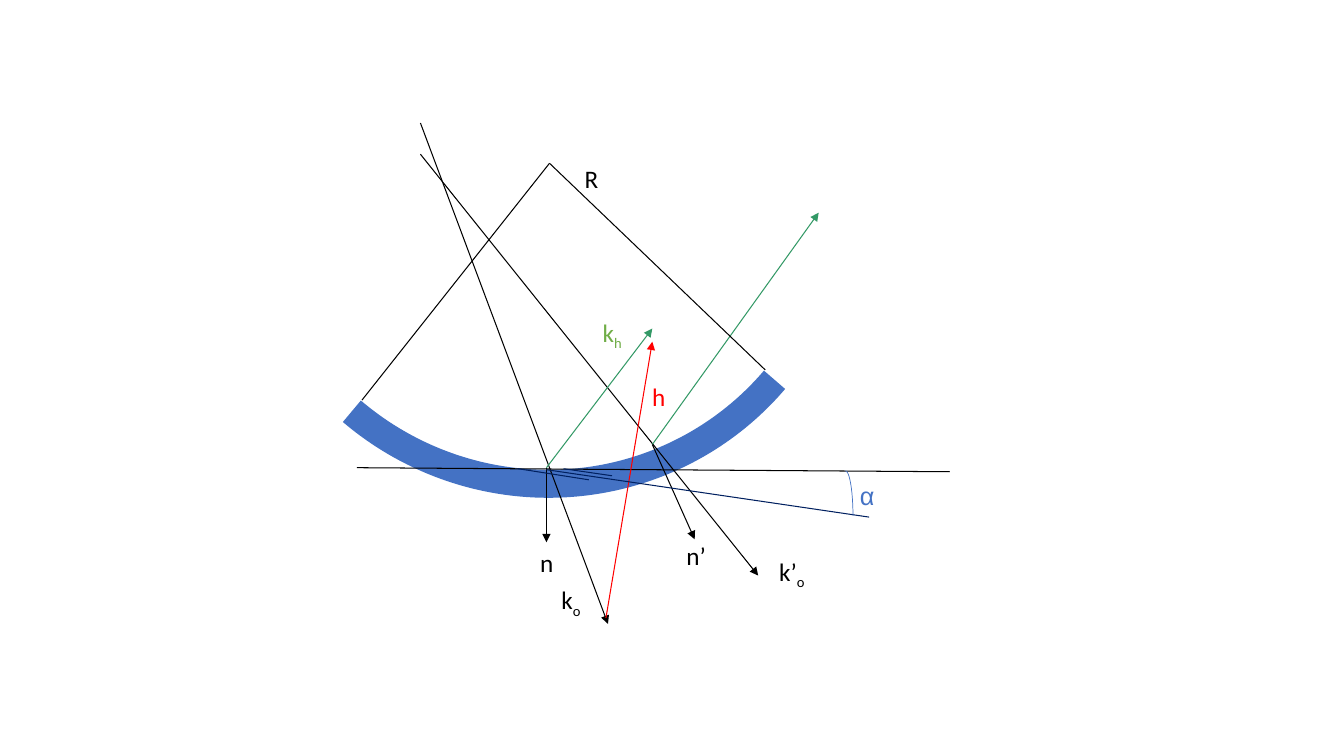
from dataclasses import dataclass

from lxml import etree
from pptx import Presentation
from pptx.dml.color import RGBColor
from pptx.enum.shapes import MSO_CONNECTOR, MSO_SHAPE
from pptx.enum.text import MSO_AUTO_SIZE
from pptx.oxml.ns import qn
from pptx.util import Inches, Pt

STRAIGHT = MSO_CONNECTOR.STRAIGHT
ARC = MSO_SHAPE.ARC
FIT_SHAPE = MSO_AUTO_SIZE.SHAPE_TO_FIT_TEXT
BLANK_LAYOUT = 6


@dataclass(frozen=True)
class Theme:
    black: str = "000000"
    blue: str = "4472C4"
    navy: str = "002060"
    teal: str = "339966"
    green: str = "70AD47"
    red: str = "FF0000"
    font: str = "Calibri"
    greek_font: str = "Arial"
    label_size: float = 18
    thin: float = 0.75
    subscript: str = "-25000"


THEME = Theme()
Point = tuple[float, float]


@dataclass(frozen=True)
class Ray:
    start: Point
    end: Point
    color: str = THEME.black
    arrow: bool = False


@dataclass(frozen=True)
class Label:
    left: float
    top: float
    width: float
    text: str
    sub: str = ""
    color: str = THEME.black
    font: str = THEME.font


@dataclass(frozen=True)
class Arc:
    left: float
    top: float
    width: float
    height: float
    weight: float
    rotation: float = 0


LABEL_HEIGHT = 0.4
CENTRE = (5.45, 1.62)
SURFACE = (5.42, 4.64)
SECOND_HIT = (6.47, 4.41)

CRYSTAL = Arc(2.45, -1.16, 5.91, 5.98, weight=20, rotation=130.4)
ANGLE = Arc(8.31, 4.67, 0.15, 0.89, weight=0.5)

RAYS = [
    Ray((3.54, 4.64), (9.42, 4.68)),
    Ray((4.17, 1.22), (6.03, 6.19), arrow=True),
    Ray((4.17, 1.53), (7.52, 5.71), arrow=True),
    Ray(SURFACE, (6.47, 3.26), THEME.teal, arrow=True),
    Ray(SECOND_HIT, (8.12, 2.11), THEME.teal, arrow=True),
    Ray(SURFACE, (5.42, 5.38), arrow=True),
    Ray((6.01, 6.13), (6.47, 3.39), THEME.red, arrow=True),
    Ray(SECOND_HIT, (6.89, 5.35), arrow=True),
    Ray(CENTRE, (3.59, 3.97)),
    Ray(CENTRE, (7.59, 3.67)),
    Ray((5.42, 4.66), (8.62, 5.13), THEME.navy),
    Ray((5.14, 4.65), (5.84, 4.76), THEME.navy),
    Ray((5.59, 4.65), (6.07, 4.72), THEME.navy),
]

LABELS = [
    Label(5.26, 5.38, 0.34, "n"),
    Label(5.47, 5.75, 0.4, "k", "o"),
    Label(5.88, 3.1, 0.4, "k", "h", THEME.green),
    Label(6.71, 5.31, 0.4, "n’"),
    Label(7.63, 5.47, 0.45, "k’", "o"),
    Label(5.7, 1.57, 0.34, "R"),
    Label(6.37, 3.73, 0.34, "h", color=THEME.red),
    Label(8.43, 4.72, 0.36, "α", color=THEME.blue, font=THEME.greek_font),
]


def draw_arc(shapes, arc: Arc) -> None:
    sp = shapes.add_shape(ARC, Inches(arc.left), Inches(arc.top),
                          Inches(arc.width), Inches(arc.height))
    sp.rotation = arc.rotation
    sp.shadow.inherit = False
    sp.fill.background()
    sp.line.color.rgb = RGBColor.from_string(THEME.blue)
    sp.line.width = Pt(arc.weight)


def draw_ray(shapes, ray: Ray) -> None:
    cxn = shapes.add_connector(STRAIGHT, *map(Inches, ray.start + ray.end))
    cxn.line.color.rgb = RGBColor.from_string(ray.color)
    cxn.line.width = Pt(THEME.thin)
    if ray.arrow:
        etree.SubElement(cxn.line._get_or_add_ln(), qn("a:tailEnd"), type="triangle")
    etree.SubElement(cxn._element.spPr, qn("a:effectLst"))


def draw_label(shapes, label: Label) -> None:
    sp = shapes.add_textbox(Inches(label.left), Inches(label.top),
                            Inches(label.width), Inches(LABEL_HEIGHT))
    tf = sp.text_frame
    tf.word_wrap = False
    tf.auto_size = FIT_SHAPE
    p = tf.paragraphs[0]
    p.font.name = label.font
    p.font.size = Pt(THEME.label_size)
    p.font.color.rgb = RGBColor.from_string(label.color)
    p.add_run().text = label.text
    if label.sub:
        r = p.add_run()
        r.text = label.sub
        r.font._element.set("baseline", THEME.subscript)


def main() -> None:
    prs = Presentation()
    prs.slide_width, prs.slide_height = Inches(13.33), Inches(7.5)
    shapes = prs.slides.add_slide(prs.slide_layouts[BLANK_LAYOUT]).shapes
    draw_arc(shapes, CRYSTAL)
    for ray in RAYS:
        draw_ray(shapes, ray)
    draw_arc(shapes, ANGLE)
    for label in LABELS:
        draw_label(shapes, label)
    prs.save("out.pptx")


if __name__ == "__main__":
    main()
